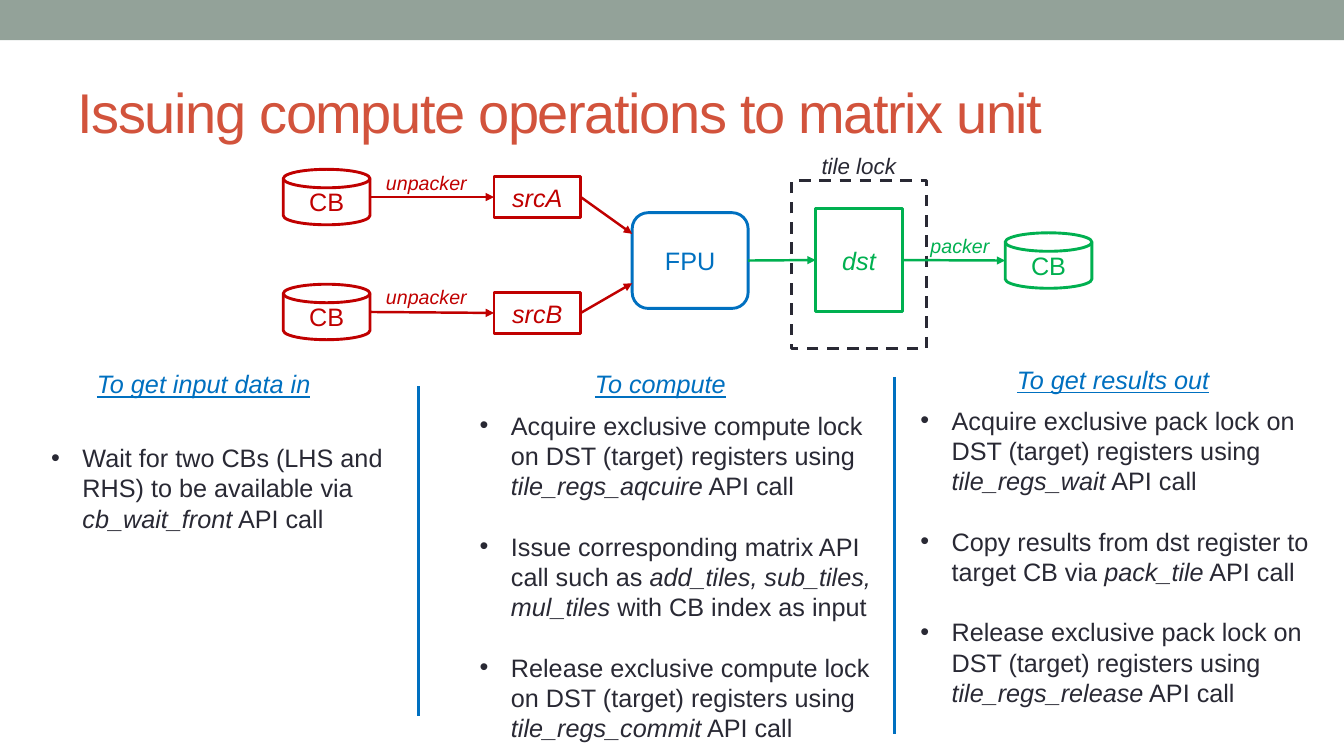
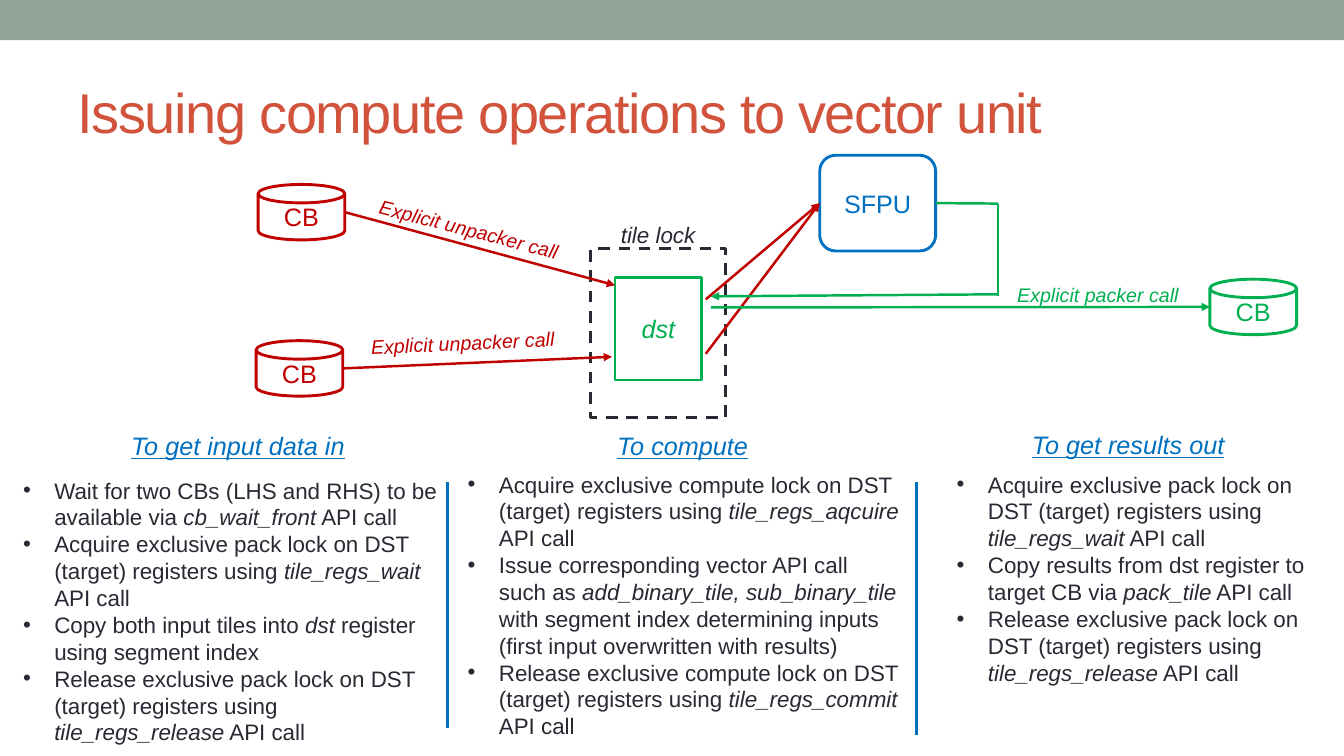
from lxml import etree
from pptx import Presentation
from pptx.dml.color import RGBColor
from pptx.enum.dml import MSO_LINE
from pptx.enum.shapes import MSO_CONNECTOR, MSO_SHAPE
from pptx.enum.text import MSO_ANCHOR, MSO_AUTO_SIZE, PP_ALIGN
from pptx.oxml.ns import qn
from pptx.util import Inches, Pt

BAND = RGBColor(0x93, 0xA2, 0x99)
TITLE = RGBColor(0xD2, 0x53, 0x3C)
INK = RGBColor(0x29, 0x29, 0x34)
BLUE = RGBColor(0x00, 0x70, 0xC0)
RED = RGBColor(0xC0, 0x00, 0x00)
GREEN = RGBColor(0x00, 0xB0, 0x50)

FONT = "Arial"
WIDTH, HEIGHT = 13.33, 7.5
STRAIGHT = MSO_CONNECTOR.STRAIGHT
CENTER = PP_ALIGN.CENTER
LEFT_SIDE, RIGHT_SIDE = 1, 3
BOX_LINE, ARROW_LINE = 2.08, 1.75
HEADING_SIZE = (3.54, 0.4)
HEADINGS = ("To get input data in", "To compute", "To get results out")

# kind: preset shape, width, height, italic label
KINDS = {
    "buffer": (MSO_SHAPE.FLOWCHART_MAGNETIC_DISK, 0.86, 0.55, False),
    "source": (MSO_SHAPE.RECTANGLE, 0.86, 0.41, True),
    "target": (MSO_SHAPE.RECTANGLE, 0.86, 1.02, True),
    "unit": (MSO_SHAPE.ROUNDED_RECTANGLE, 1.15, 0.95, False),
    "lock": (MSO_SHAPE.RECTANGLE, 1.34, 1.67, False),
}

ACQUIRE = "Acquire exclusive compute lock on DST (target) registers using *tile_regs_aqcuire* API call"
COMMIT = "Release exclusive compute lock on DST (target) registers using *tile_regs_commit* API call"
WAIT_FRONT = "Wait for two CBs (LHS and RHS) to be available via *cb_wait_front* API call"
WAIT = "Acquire exclusive pack lock on DST (target) registers using *tile_regs_wait* API call"
RELEASE = "Release exclusive pack lock on DST (target) registers using *tile_regs_release* API call"
PACK = "Copy results from dst register to target CB via *pack_tile* API call"
RESULTS = [WAIT, PACK, RELEASE]

# boxes: name: (label, kind, colour, left, top)
# arrows: (start, end, colour, has head); an end is a point or (box name, side)
# labels: (text, colour, left, top, width, rotation)
# columns: (heading left and top, list frame, items)
# dividers: (left, top, bottom)
SLIDES = [
    {
        "title": "Issuing compute operations to matrix unit",
        "lock": (7.85, 1.79),
        "boxes": {
            "input A": ("CB", "buffer", RED, 2.81, 1.68),
            "input B": ("CB", "buffer", RED, 2.81, 2.82),
            "srcA": ("srcA", "source", RED, 4.9, 1.75),
            "srcB": ("srcB", "source", RED, 4.9, 2.9),
            "FPU": ("FPU", "unit", BLUE, 6.27, 2.11),
            "output": ("CB", "buffer", GREEN, 9.97, 2.31),
        },
        "arrows": [
            (("input A", RIGHT_SIDE), ("srcA", LEFT_SIDE), RED, True),
            (("input B", RIGHT_SIDE), ("srcB", LEFT_SIDE), RED, True),
            (("srcA", RIGHT_SIDE), (6.27, 2.32), RED, True),
            (("srcB", RIGHT_SIDE), (6.27, 2.81), RED, True),
            (("FPU", RIGHT_SIDE), ("dst", LEFT_SIDE), GREEN, True),
            (("dst", RIGHT_SIDE), ("output", LEFT_SIDE), GREEN, True),
        ],
        "labels": [
            ("unpacker", RED, 3.73, 1.65, 1.02, 0),
            ("unpacker", RED, 3.73, 2.78, 1.02, 0),
            ("packer", GREEN, 9.13, 2.27, 1.02, 0),
        ],
        "text": {"size": 18, "gap": 21.6},
        "columns": [
            ((0.25, 3.61), (0.41, 4.34, 3.62, 1.62), [WAIT_FRONT]),
            ((4.78, 3.61), (4.66, 4.02, 4.13, 3.74), [
                ACQUIRE,
                "Issue corresponding matrix API call such as "
                "*add_tiles, sub_tiles, mul_tiles* with CB index as input",
                COMMIT,
            ]),
            ((9.27, 3.57), (9.03, 3.97, 4.18, 3.13), RESULTS),
        ],
        "dividers": [(4.15, 3.83, 7.1), (8.87, 3.74, 7.28)],
    },
    {
        "title": "Issuing compute operations to vector unit",
        "lock": (5.86, 2.47),
        "boxes": {
            "input A": ("CB", "buffer", RED, 2.56, 1.83),
            "input B": ("CB", "buffer", RED, 2.54, 3.38),
            "SFPU": ("SFPU", "unit", BLUE, 8.13, 1.54),
            "output": ("CB", "buffer", GREEN, 12, 2.77),
        },
        "arrows": [
            (("input A", RIGHT_SIDE), (6.1, 2.83), RED, True),
            (("input B", RIGHT_SIDE), (6.07, 3.54), RED, True),
            ((7, 2.97), ("SFPU", LEFT_SIDE), RED, True),
            ((7, 3.51), ("SFPU", LEFT_SIDE), RED, True),
            (("SFPU", RIGHT_SIDE), (9.9, 2.02), GREEN, False),
            ((9.9, 2.02), (9.9, 2.94), GREEN, False),
            ((9.9, 2.92), (7.05, 2.94), GREEN, True),
            ((7.05, 3.05), ("output", LEFT_SIDE), GREEN, True),
        ],
        "labels": [
            ("Explicit unpacker call", RED, 3.64, 2.12, 2.13, 14.3),
            ("Explicit unpacker call", RED, 3.58, 3.23, 2.1, 357.3),
            ("Explicit packer call", GREEN, 9.99, 2.76, 2.15, 0),
        ],
        "text": {"size": 16, "gap": 0},
        "columns": [
            ((0.59, 4.22), (0.13, 4.68, 4.31, 2.79), [
                WAIT_FRONT,
                WAIT,
                "Copy both input tiles into *dst* register using segment index",
                RELEASE,
            ]),
            ((5, 4.22), (4.54, 4.62, 4.49, 2.79), [
                ACQUIRE,
                "Issue corresponding vector API call such as "
                "*add_binary_tile, sub_binary_tile* with segment index "
                "determining inputs (first input overwritten with results)",
                COMMIT,
            ]),
            ((9.42, 4.21), (9.39, 4.62, 3.81, 2.56), RESULTS),
        ],
        "dividers": [(4.44, 4.78, 7.22), (9.09, 4.78, 7.29)],
    },
]


def inches(*values):
    return [Inches(value) for value in values]


def add_span(para, text, size, colour, **styles):
    span = para.add_run()
    span.text = text
    for name, value in {"name": FONT, "size": Pt(size), **styles}.items():
        setattr(span.font, name, value)
    span.font.color.rgb = colour


def add_text_box(page, frame):
    box = page.shapes.add_textbox(*inches(*frame))
    box.text_frame.word_wrap = True
    box.text_frame.auto_size = MSO_AUTO_SIZE.SHAPE_TO_FIT_TEXT
    return box


def add_label(page, text, frame, size, colour, rotation=0, align=None, **styles):
    box = add_text_box(page, frame)
    box.rotation = rotation
    para = box.text_frame.paragraphs[0]
    para.alignment = align
    add_span(para, text, size, colour, italic=True, **styles)


def add_list(page, frame, items, size, gap):
    """Bulleted list; text between asterisks is italic."""
    text_frame = add_text_box(page, frame).text_frame
    for index, item in enumerate(items):
        para = text_frame.add_paragraph() if index else text_frame.paragraphs[0]
        props = para._p.get_or_add_pPr()
        props.set("marL", str(Inches(0.31)))
        props.set("indent", str(-Inches(0.31)))
        etree.SubElement(props, qn("a:buFont")).set("typeface", FONT)
        etree.SubElement(props, qn("a:buChar")).set("char", "•")
        if index:
            para.space_before = Pt(gap)
        for part, text in enumerate(item.split("*")):
            add_span(para, text, size, INK, italic=part % 2 == 1)


def add_box(page, label, kind, colour, left, top):
    preset, width, height, italic = KINDS[kind]
    box = page.shapes.add_shape(preset, *inches(left, top, width, height))
    box.shadow.inherit = False
    box.fill.background()
    box.line.color.rgb = colour
    box.line.width = Pt(BOX_LINE)
    if label:
        box.text_frame.vertical_anchor = MSO_ANCHOR.MIDDLE
        para = box.text_frame.paragraphs[0]
        para.alignment = CENTER
        add_span(para, label, 18, colour, italic=italic)
    return box


def add_lock(page, left, top):
    """Dashed lock with its caption; returns the target register inside."""
    lock = add_box(page, "", "lock", INK, left, top)
    lock.line.dash_style = MSO_LINE.DASH
    add_label(page, "tile lock", (left + 0.2, top - 0.33, 1.1, 0.37), 16, INK)
    return add_box(page, "dst", "target", GREEN, left + 0.24, top + 0.28)


def add_line(page, start, end, colour, head=False):
    line = page.shapes.add_connector(STRAIGHT, *start, *end)
    line.line.color.rgb = colour
    line.line.width = Pt(ARROW_LINE)
    if head:
        etree.SubElement(line.line._get_or_add_ln(), qn("a:tailEnd")).set("type", "triangle")
    etree.SubElement(line._element.spPr, qn("a:effectLst"))
    return line


def add_arrow(page, boxes, start, end, colour, head):
    points, joints = [], []
    for place in (start, end):
        box = boxes.get(place[0])
        if box is None:
            points.append(inches(*place))
        else:
            across = box.width if place[1] == RIGHT_SIDE else 0
            points.append((box.left + across, box.top + box.height // 2))
        # The disk preset numbers its sites differently, so only rectangles join.
        joinable = box and box.auto_shape_type != MSO_SHAPE.FLOWCHART_MAGNETIC_DISK
        joints.append((box, place[1]) if joinable else None)
    line = add_line(page, *points, colour, head)
    for connect, joint in zip((line.begin_connect, line.end_connect), joints):
        if joint:
            connect(*joint)


def style_master(deck, layout):
    """Puts the band and the title style on the master."""
    master = deck.slide_master
    for holder in (master, layout):
        title = next(shape for shape in holder.placeholders if shape.placeholder_format.idx == 0)
        title.left, title.top, title.width, title.height = inches(0.67, 0.58, 12, 1.04)
        title.text_frame.vertical_anchor = MSO_ANCHOR.MIDDLE
    level = master.element.find(".//" + qn("p:titleStyle")).find(qn("a:lvl1pPr"))
    level.set("algn", "l")
    props = level.find(qn("a:defRPr"))
    props.set("sz", "4000")
    props.set("spc", "-100")
    fill = props.find(qn("a:solidFill"))
    fill.clear()
    etree.SubElement(fill, qn("a:srgbClr")).set("val", str(TITLE))
    props.find(qn("a:latin")).set("typeface", FONT)


def add_band(deck, page):
    """Draws the top band and moves it behind everything on the master."""
    band = page.shapes.add_shape(MSO_SHAPE.RECTANGLE, *inches(0, 0, WIDTH, 0.4))
    band.shadow.inherit = False
    band.fill.solid()
    band.fill.fore_color.rgb = BAND
    band.line.fill.background()
    deck.slide_master.shapes.element.insert(2, band._element)


def add_slide(deck, layout, content):
    page = deck.slides.add_slide(layout)
    page.shapes.title.text = content["title"]
    for heading, (place, frame, items) in zip(HEADINGS, content["columns"]):
        add_list(page, frame, items, **content["text"])
        add_label(page, heading, place + HEADING_SIZE, 18, BLUE, align=CENTER, underline=True)
    for left, top, bottom in content["dividers"]:
        add_line(page, inches(left, top), inches(left, bottom), BLUE)
    boxes = {"dst": add_lock(page, *content["lock"])}
    for name, box in content["boxes"].items():
        boxes[name] = add_box(page, *box)
    for arrow in content["arrows"]:
        add_arrow(page, boxes, *arrow)
    for text, colour, left, top, width, rotation in content["labels"]:
        add_label(page, text, (left, top, width, 0.34), 14, colour, rotation)
    return page


def main():
    deck = Presentation()
    deck.slide_width, deck.slide_height = inches(WIDTH, HEIGHT)
    layout = deck.slide_layouts.get_by_name("Title Only")
    style_master(deck, layout)
    pages = [add_slide(deck, layout, content) for content in SLIDES]
    add_band(deck, pages[0])
    deck.save("out.pptx")


if __name__ == "__main__":
    main()
